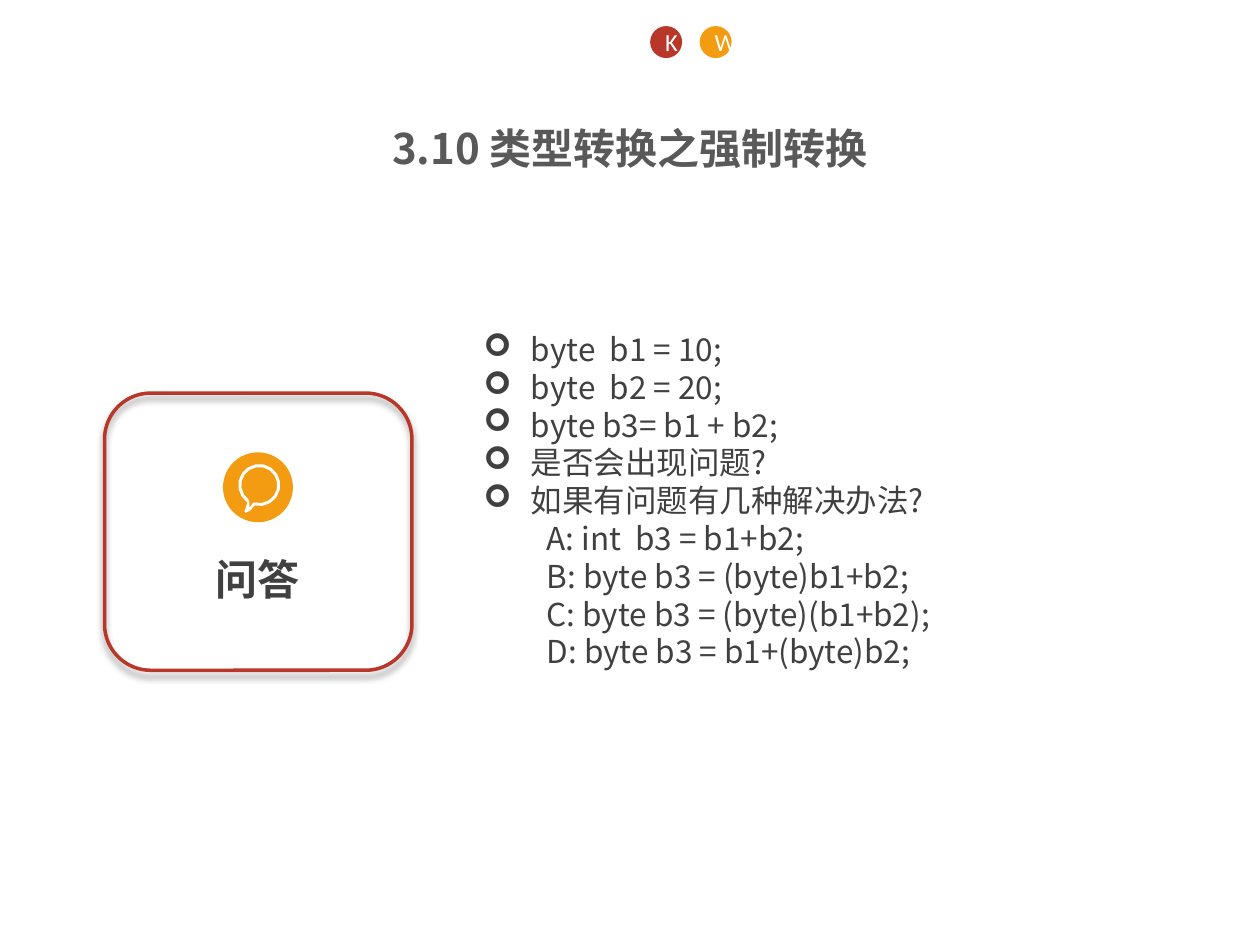
from dataclasses import dataclass
from math import cos, radians, sin

from lxml.etree import SubElement
from pptx import Presentation
from pptx.dml.color import RGBColor
from pptx.enum.shapes import MSO_SHAPE
from pptx.enum.text import MSO_ANCHOR, PP_ALIGN
from pptx.oxml.ns import qn
from pptx.util import Inches, Pt


@dataclass(frozen=True)
class Theme:
    red: str = "B83729"
    orange: str = "F39C12"
    white: str = "FFFFFF"
    title: str = "595959"
    body: str = "404040"
    font: str = "Noto Sans CJK SC"
    badge_font: str = "Calibri"
    bullet_font: str = "Wingdings"
    title_size: int = 24
    body_size: int = 18
    badge_size: int = 14
    leading: float = 1.2


THEME = Theme()
COLUMNS, ROWS = 100, 75  # square grid cells of a tenth of an inch
ARC_STEPS = 15


def cells(count):
    return Inches(count / 10)


def area(*grid_box):
    return [cells(length) for length in grid_box]


def add_run(paragraph, text, size, color, font=THEME.font, bold=False):
    run = paragraph.add_run()
    run.text = text
    run.font.size = Pt(size)
    run.font.bold = bold
    run.font.name = font
    run.font.color.rgb = RGBColor.from_string(color)
    SubElement(run.font._element, qn("a:ea"), typeface=font)


def add_text_frame(slide, grid_box, wrap=True):
    frame = slide.shapes.add_textbox(*area(*grid_box)).text_frame
    frame.word_wrap = wrap
    return frame


def add_heading(slide, grid_box, text, color, align, tightness=1, wrap=True):
    heading = add_text_frame(slide, grid_box, wrap).paragraphs[0]
    heading.alignment = align
    heading.line_spacing = Pt(THEME.title_size * THEME.leading * tightness)
    add_run(heading, text, THEME.title_size, color, bold=True)


def add_lines(slide, grid_box, lines):
    frame = add_text_frame(slide, grid_box)
    for index, (text, level) in enumerate(lines):
        line = frame.add_paragraph() if index else frame.paragraphs[0]
        line.level = level
        line.line_spacing = Pt(THEME.body_size * THEME.leading)
        properties = line._p.get_or_add_pPr()
        indent = cells(5 if level else 3.75)
        properties.set("marL", str(indent))
        properties.set("indent", str(0 if level else -indent))
        if level == 0:
            SubElement(properties, qn("a:buFont"), typeface=THEME.bullet_font)
            SubElement(properties, qn("a:buChar"), char="➢")
        add_run(line, text, THEME.body_size, THEME.body)


def add_disc(slide, left, top, size, color, letter=""):
    disc = slide.shapes.add_shape(MSO_SHAPE.OVAL, *area(left, top, size, size))
    disc.shadow.inherit = False
    disc.fill.solid()
    disc.fill.fore_color.rgb = RGBColor.from_string(color)
    disc.line.fill.background()
    if letter:
        disc.text_frame.vertical_anchor = MSO_ANCHOR.MIDDLE
        caption = disc.text_frame.paragraphs[0]
        caption.alignment = PP_ALIGN.CENTER
        add_run(caption, letter, THEME.badge_size, THEME.white, THEME.badge_font)


def add_card(slide, grid_box):
    card = slide.shapes.add_shape(MSO_SHAPE.ROUNDED_RECTANGLE, *area(*grid_box))
    card.fill.background()
    card.line.color.rgb = RGBColor.from_string(THEME.red)
    card.line.width = Pt(2)
    # Soft shadow straight below the outline
    card.shadow.inherit = False
    effects = card._element.spPr.find(qn("a:effectLst"))
    shadow = SubElement(effects, qn("a:outerShdw"), blurRad=str(Pt(4)),
                        dist=str(Pt(3)), dir="5400000", rotWithShape="0")
    black = SubElement(shadow, qn("a:srgbClr"), val="000000")
    SubElement(black, qn("a:alpha"), val="40000")


def bubble_contour(center, radius, start, end, tail):
    angles = [radians(start + (end - start) * step / ARC_STEPS)
              for step in range(ARC_STEPS + 1)]
    arc = [(center[0] + radius * cos(angle), center[1] + radius * sin(angle))
           for angle in angles]
    return [(cells(x), cells(y)) for x, y in arc + tail]


def add_speech_bubble(slide, center):
    outer = bubble_contour(center, 1.67, 124, 464, [
        (19.9, 40.5), (19.5, 40.7), (19.4, 40.6)])
    inner = bubble_contour(center, 1.43, 127, 462, [
        (20.1, 39.9), (19.8, 40.3), (19.8, 39.9)])
    builder = slide.shapes.build_freeform(*outer[0])
    builder.add_line_segments(outer[1:])
    builder.move_to(*inner[0])
    builder.add_line_segments(inner[1:])
    bubble = builder.convert_to_shape()
    bubble.shadow.inherit = False
    bubble.fill.solid()
    bubble.fill.fore_color.rgb = RGBColor.from_string(THEME.white)
    bubble.line.fill.background()


def main():
    presentation = Presentation()
    presentation.slide_width = cells(COLUMNS)
    presentation.slide_height = cells(ROWS)
    slide = presentation.slides.add_slide(presentation.slide_layouts[6])

    # Code question and its possible answers
    question = ["byte  b1 = 10;", "byte  b2 = 20;", "byte b3= b1 + b2;",
                "是否会出现问题?", "如果有问题有几种解决办法?"]
    answers = ["A: int  b3 = b1+b2;", "B: byte b3 = (byte)b1+b2;",
               "C: byte b3 = (byte)(b1+b2);", "D: byte b3 = b1+(byte)b2;"]
    add_lines(slide, (37.4, 25.7, 65.4, 28.3),
              [(text, 0) for text in question] + [(text, 1) for text in answers])

    # Title
    add_heading(slide, (0, 9.2, COLUMNS, 4.7), "3.10 类型转换之强制转换",
                THEME.title, PP_ALIGN.CENTER)

    # Question-and-answer card
    add_card(slide, (8.3, 31.2, 24.4, 22))
    add_heading(slide, (16.1, 43.8, 8.7, 4.5), "问答", THEME.body,
                PP_ALIGN.LEFT, tightness=0.9, wrap=False)
    add_disc(slide, 17.7, 35.9, 5.55, THEME.orange)
    add_speech_bubble(slide, (20.58, 38.5))

    # Letter badges
    badges = [("K", THEME.red), ("W", THEME.orange)]
    for index, (letter, color) in enumerate(badges):
        add_disc(slide, 51.6 + 3.93 * index, 2.07, 2.54, color, letter)

    presentation.save("out.pptx")


if __name__ == "__main__":
    main()
